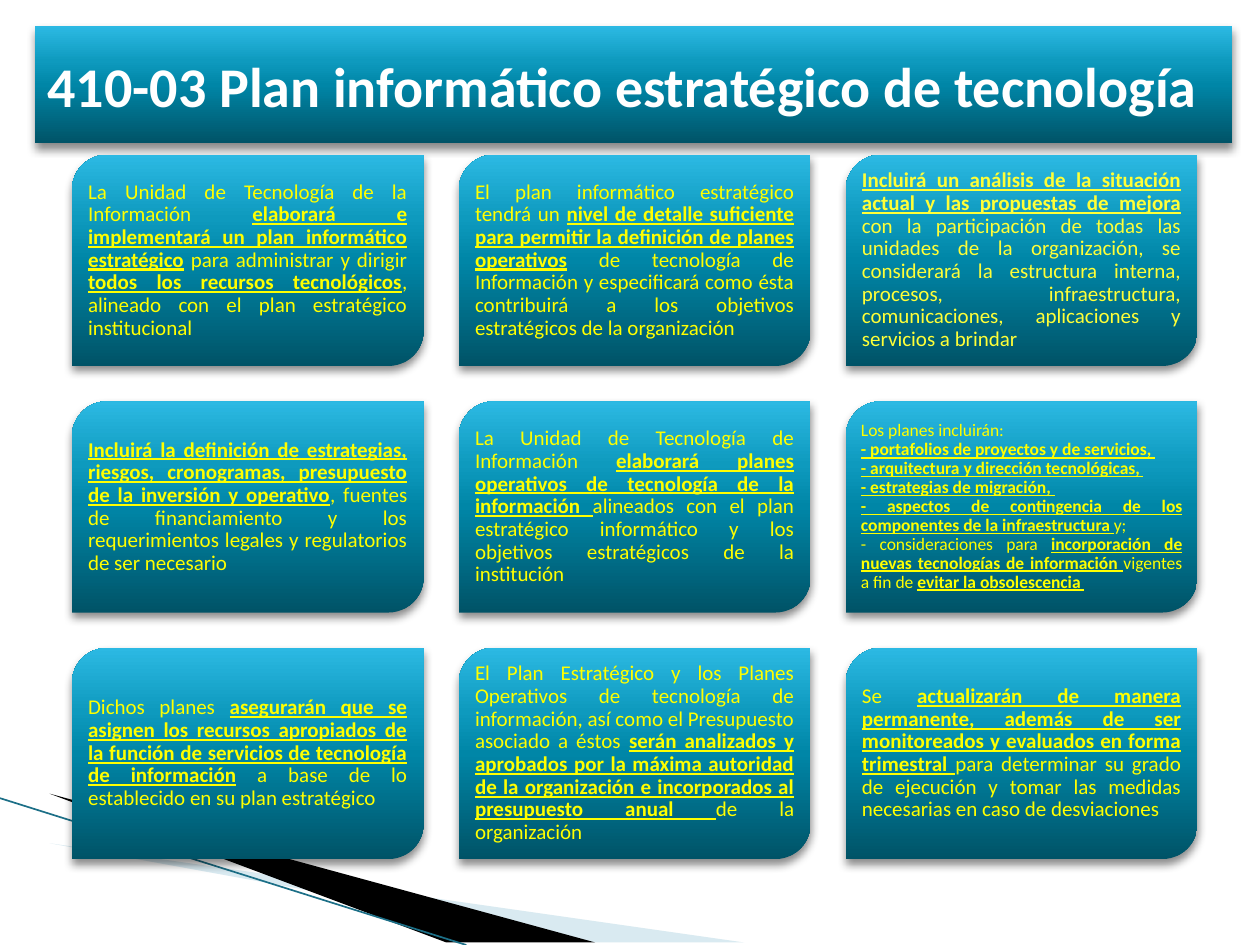
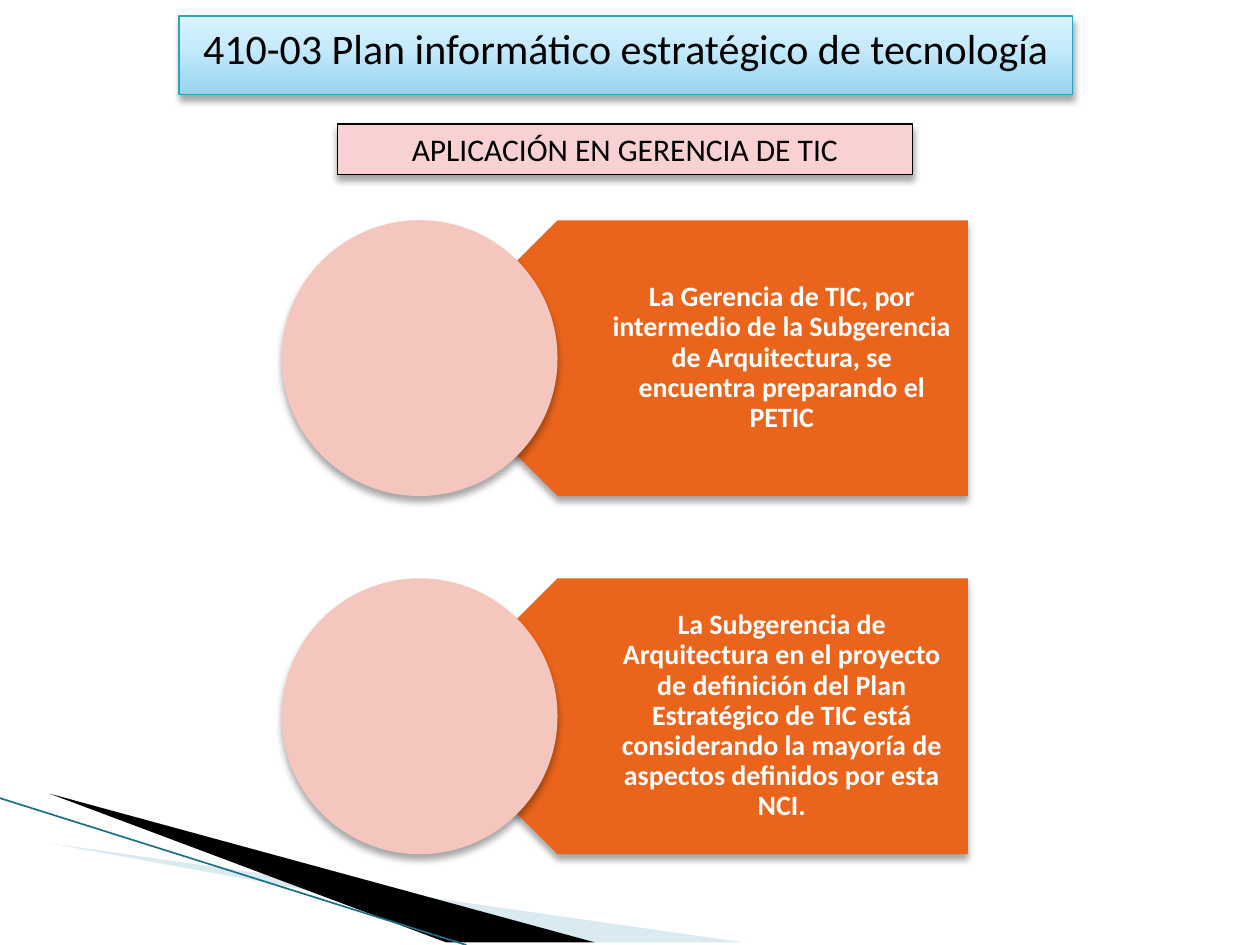
"""Builds two slides on the strategic information technology plan."""
from dataclasses import dataclass

from lxml.etree import SubElement
from pptx import Presentation
from pptx.dml.color import RGBColor
from pptx.enum.shapes import MSO_CONNECTOR as Connector, MSO_SHAPE as Preset
from pptx.enum.text import MSO_ANCHOR as Anchor, MSO_AUTO_SIZE as AutoSize, PP_ALIGN as Align
from pptx.oxml.ns import qn
from pptx.util import Cm, Pt

TITLE = "410-03 Plan informático estratégico de tecnología"
SUBTITLE = "APLICACIÓN EN GERENCIA DE TIC"

# Text between asterisks is emphasised.
RULES = [
    {"text": ["La Unidad de Tecnología de la Información *elaborará e implementará un plan "
              "informático estratégico* para administrar y dirigir *todos los recursos "
              "tecnológicos*, alineado con el plan estratégico institucional"]},
    {"text": ["El plan informático estratégico tendrá un *nivel de detalle suficiente para "
              "permitir la definición de planes operativos* de tecnología de Información y "
              "especificará como ésta contribuirá a los objetivos estratégicos de la "
              "organización"]},
    {"text": ["*Incluirá un análisis de la situación actual y las propuestas de mejora *con la "
              "participación de todas las unidades de la organización, se considerará la "
              "estructura interna, procesos, infraestructura, comunicaciones, aplicaciones y "
              "servicios a brindar"], "color": "FFFF37"},
    {"text": ["*Incluirá la definición de estrategias, riesgos, cronogramas, presupuesto de la "
              "inversión y operativo*, fuentes de financiamiento y los requerimientos legales "
              "y regulatorios de ser necesario"]},
    {"text": ["La Unidad de Tecnología de Información *elaborará planes operativos de "
              "tecnología de la información *alineados con el plan estratégico informático y "
              "los objetivos estratégicos de la institución"]},
    {"text": ["Los planes incluirán:",
              "*- portafolios de proyectos y de servicios, *",
              "*- arquitectura y dirección tecnológicas, *",
              "*- estrategias de migración, *",
              "*- aspectos de contingencia de los componentes de la infraestructura *y;",
              "- consideraciones para *incorporación de nuevas tecnologías de información "
              "*vigentes a fin de *evitar la obsolescencia *"], "size": 10},
    {"text": ["Dichos planes *asegurarán que se asignen los recursos apropiados de la función "
              "de servicios de tecnología de información* a base de lo establecido en su plan "
              "estratégico"]},
    {"text": ["El Plan Estratégico y los Planes Operativos de tecnología de información, así "
              "como el Presupuesto asociado a éstos *serán analizados y aprobados por la "
              "máxima autoridad de la organización e incorporados al presupuesto anual *de la "
              "organización"]},
    {"text": ["Se *actualizarán de manera permanente, además de ser monitoreados y evaluados "
              "en forma trimestral *para determinar su grado de ejecución y tomar las medidas "
              "necesarias en caso de desviaciones"]},
]
ACTIONS = [
    "La Gerencia de TIC, por intermedio de la Subgerencia de Arquitectura, se encuentra "
    "preparando el PETIC",
    "La Subgerencia de Arquitectura en el proyecto de definición del Plan Estratégico de TIC "
    "está considerando la mayoría de aspectos definidos por esta NCI.",
]
WEDGES = [
    ("A0CBDC", 40, [(1.4, 16.52), (15.11, 19.05), (11.58, 19.05)]),
    ("000000", 100, [(1.35, 16.48), (11.6, 19.05), (9.45, 19.05)]),
]


@dataclass(frozen=True)
class Theme:
    """Colours, gradients, shadows and type sizes of the deck."""
    font: str = "Calibri"
    ink: str = "000000"
    light: str = "FFFFFF"
    rule_text: str = "FFFF00"
    edge: str = "1C6F87"
    frame: str = "2DA2BF"
    subtitle: str = "F9D1D3"
    arrow: str = "EB641B"
    circle: str = "F5C6BD"
    deep: tuple = ((0, "005367"), (50, "0086A7"), (70, "0E9ABE"), (100, "2CB9E3"))
    pale: tuple = ((0, "96D4EE"), (65, "C9ECFC"), (100, "D7F2FF"))
    strong_shadow: tuple = (45, 5, 3)
    soft_shadow: tuple = (35, 4, 3)
    title_size: int = 32
    heading_size: int = 24
    subtitle_size: int = 18
    action_size: int = 16
    rule_size: int = 12


THEME = Theme()


def assign(target, values):
    """Sets every attribute in values on target."""
    for attribute, value in values.items():
        setattr(target, attribute, value)


def rgb(code):
    """Turns a hex code into a colour."""
    return RGBColor.from_string(code)


def paint(shape, fill, line=None, shadow=None):
    """Gives a shape its solid or gradient fill, outline and shadow."""
    shape.shadow.inherit = False
    if isinstance(fill, tuple):
        shape.fill.gradient()
        shape.fill.gradient_angle = 90
        stops = shape._element.spPr.find(qn("a:gradFill")).find(qn("a:gsLst"))
        stops.clear()
        for position, code in fill:
            stop = SubElement(stops, qn("a:gs"), pos=str(position * 1000))
            SubElement(stop, qn("a:srgbClr"), val=code)
    else:
        shape.fill.solid()
        shape.fill.fore_color.rgb = rgb(fill)
    if line:
        shape.line.color.rgb = rgb(line)
        shape.line.width = Pt(0.75)
    else:
        shape.line.fill.background()
    if shadow:
        opacity, blur, distance = shadow
        effects = shape._element.spPr.find(qn("a:effectLst"))
        outer = SubElement(effects, qn("a:outerShdw"), blurRad=str(Pt(blur)),
                           dist=str(Pt(distance)), dir="5400000", rotWithShape="0")
        tint = SubElement(outer, qn("a:srgbClr"), val=THEME.ink)
        SubElement(tint, qn("a:alpha"), val=str(opacity * 1000))


def write(shape, paragraphs, size, color, align=Align.CENTER, bold=False, spacing=1.0,
          anchor=Anchor.MIDDLE, margins=(0.25, 0.13)):
    """Fills a shape with paragraphs, emphasising the text between asterisks."""
    frame = shape.text_frame
    side, edge = map(Cm, margins)
    assign(frame, {"word_wrap": True, "auto_size": AutoSize.NONE, "vertical_anchor": anchor,
                   "margin_left": side, "margin_right": side,
                   "margin_top": edge, "margin_bottom": edge})
    for index, text in enumerate(paragraphs):
        paragraph = frame.add_paragraph() if index else frame.paragraphs[0]
        assign(paragraph, {"alignment": align, "line_spacing": spacing})
        for part, words in enumerate(text.split("*")):
            if words:
                emphasised = part % 2 == 1
                run = paragraph.add_run()
                run.text = words
                assign(run.font, {"name": THEME.font, "size": Pt(size),
                                  "bold": bold or emphasised, "underline": emphasised})
                run.font.color.rgb = rgb(color)


def add_shape(slide, preset, box, fill, **finish):
    """Adds a painted preset shape at a box given in centimetres."""
    shape = slide.shapes.add_shape(preset, *map(Cm, box))
    paint(shape, fill, **finish)
    return shape


def start_slide(deck, title_box):
    """Adds a slide with the corner wedges and returns it with its placed title."""
    slide = deck.slides.add_slide(deck.slide_layouts[5])
    for color, opacity, (start, *others) in WEDGES:
        builder = slide.shapes.build_freeform(*start, scale=Cm(1))
        builder.add_line_segments(others, close=True)
        wedge = builder.convert_to_shape()
        paint(wedge, color)
        tint = wedge._element.spPr.find(qn("a:solidFill"))[0]
        SubElement(tint, qn("a:alpha"), val=str(opacity * 1000))
    edge = slide.shapes.add_connector(Connector.STRAIGHT, Cm(0), Cm(16.09), Cm(9.4), Cm(19.05))
    edge.line.color.rgb = rgb(THEME.edge)
    edge.line.width = Pt(0.95)
    SubElement(edge._element.spPr, qn("a:effectLst"))
    title = slide.shapes.title
    assign(title, dict(zip(("left", "top", "width", "height"), map(Cm, title_box))))
    return slide, title


def build_rules(deck):
    """Lays the nine rules out as a grid of cards."""
    slide, title = start_slide(deck, (0.71, 0.53, 24.13, 2.36))
    paint(title, THEME.deep, shadow=THEME.strong_shadow)
    write(title, [TITLE], THEME.title_size, THEME.light, align=Align.LEFT, bold=True)
    left, top, width, height, gap, columns = 1.45, 3.12, 7.09, 4.26, 0.71, 3
    for index, rule in enumerate(RULES):
        row, column = divmod(index, columns)
        box = (left + column * (width + gap), top + row * (height + gap), width, height)
        card = add_shape(slide, Preset.ROUND_2_DIAG_RECTANGLE, box, THEME.deep,
                         shadow=THEME.strong_shadow)
        size = rule.get("size", THEME.rule_size)
        inset = size / 100
        write(card, rule["text"], size, rule.get("color", THEME.rule_text),
              align=Align.JUSTIFY, spacing=0.9, margins=(inset, inset))


def build_actions(deck):
    """Stacks the actions as arrows that point into circles."""
    slide, title = start_slide(deck, (3.61, 0.32, 18.01, 1.59))
    paint(title, THEME.pale, line=THEME.frame, shadow=THEME.soft_shadow)
    write(title, [TITLE], THEME.heading_size, THEME.ink, anchor=Anchor.TOP)
    subtitle = add_shape(slide, Preset.RECTANGLE, (6.8, 2.5, 11.6, 1.02), THEME.subtitle,
                         line=THEME.ink, shadow=THEME.soft_shadow)
    write(subtitle, [SUBTITLE], THEME.subtitle_size, THEME.ink)
    left, top, diameter, pitch, arrow_width = 5.68, 4.44, 5.56, 7.22, 11.05
    for index, action in enumerate(ACTIONS):
        y = top + index * pitch
        arrow = add_shape(slide, Preset.PENTAGON,
                          (left + diameter / 2, y, arrow_width, diameter),
                          THEME.arrow, shadow=THEME.soft_shadow)
        arrow.rotation = 180
        label = slide.shapes.add_textbox(*map(Cm, (12.32, y, 6.88, diameter)))
        write(label, [action], THEME.action_size, THEME.light, bold=True, spacing=0.9,
              margins=(0, 0.18))
        add_shape(slide, Preset.OVAL, (left, y, diameter, diameter), THEME.circle,
                  shadow=THEME.soft_shadow)


def main():
    """Builds and saves the deck."""
    deck = Presentation()
    assign(deck, {"slide_width": Cm(25.4), "slide_height": Cm(19.05)})
    build_rules(deck)
    build_actions(deck)
    deck.save("out.pptx")


if __name__ == "__main__":
    main()
